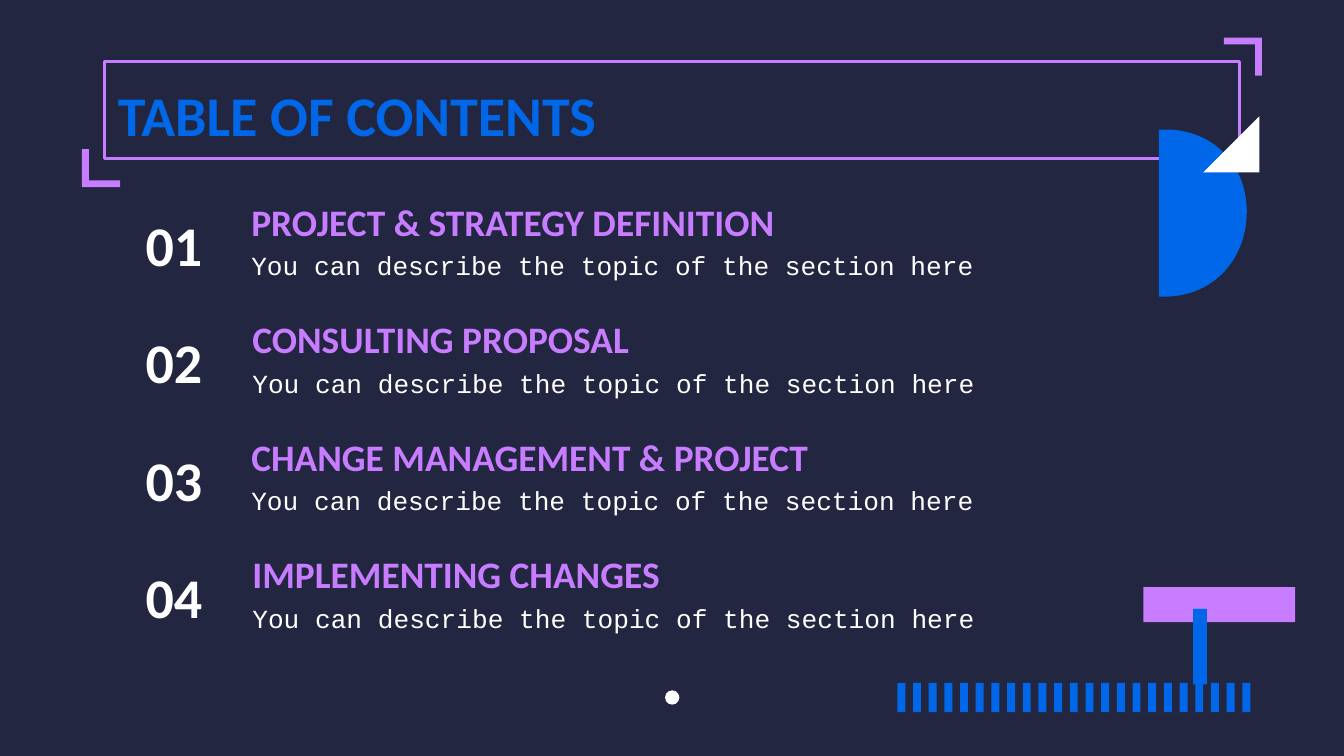
import pptx
import pptx.util
import pptx.dml.color
import pptx.enum.shapes
import pptx.enum.text

Cm = pptx.util.Cm
ALIGN = pptx.enum.text.PP_ALIGN
ANCHOR = pptx.enum.text.MSO_ANCHOR
SHAPE = pptx.enum.shapes.MSO_SHAPE
NAVY, BLUE, PURPLE, WHITE = "222640", "0068E8", "C87CFF", "FFFFFF"
TOPICS = [
    "PROJECT & STRATEGY DEFINITION",
    "CONSULTING PROPOSAL",
    "CHANGE MANAGEMENT & PROJECT",
    "IMPLEMENTING CHANGES",
]
DESCRIPTION = "You can describe the topic of the section here"


def rgb(value):
    """Return the colour for a hex string."""
    return pptx.dml.color.RGBColor.from_string(value)


def place(sp, x, y, w, h):
    """Set the position and size of a shape in centimetres."""
    sp.left, sp.top, sp.width, sp.height = Cm(x), Cm(y), Cm(w), Cm(h)


def write(sp, text, size=14, font="Calibri", color=WHITE, bold=True,
          align=ALIGN.LEFT, anchor=ANCHOR.TOP):
    """Fill a shape with one formatted paragraph."""
    tf = sp.text_frame
    tf.word_wrap = True
    tf.auto_size = pptx.enum.text.MSO_AUTO_SIZE.NONE
    tf.vertical_anchor = anchor
    tf.margin_left = tf.margin_right = tf.margin_top = tf.margin_bottom = Cm(0.25)
    p = tf.paragraphs[0]
    p.alignment = align
    r = p.add_run()
    r.text = text
    r.font.size = pptx.util.Pt(size)
    r.font.name = font
    r.font.bold = bold
    r.font.color.rgb = rgb(color)


def add_text(s, x, y, w, h, text, **style):
    """Add a text box."""
    sp = s.shapes.add_textbox(Cm(x), Cm(y), Cm(w), Cm(h))
    write(sp, text, **style)


def paint(sp, color):
    """Give a shape a flat fill without line or shadow."""
    sp.shadow.inherit = False
    sp.fill.solid()
    sp.fill.fore_color.rgb = rgb(color)
    sp.line.fill.background()


def add_solid(s, kind, x, y, w, h, color):
    """Add a flat preset shape."""
    paint(s.shapes.add_shape(kind, Cm(x), Cm(y), Cm(w), Cm(h)), color)


def add_outline(s, contours, color):
    """Add one flat freeform made of closed contours in centimetres."""
    contours = [[(Cm(x), Cm(y)) for x, y in points] for points in contours]
    builder = s.shapes.build_freeform(*contours[0][0], scale=1.0)
    for i, points in enumerate(contours):
        if i:
            builder.move_to(*points[0])
        builder.add_line_segments(points[1:], close=True)
    paint(builder.convert_to_shape(), color)


def add_corner(s, x, y, direction):
    """Add an L bracket whose outer corner is at x, y."""
    arm, thick = 0.72 * direction, 0.13 * direction
    points = [(0, 0), (arm, 0), (arm, -thick), (thick, -thick), (thick, -arm), (0, -arm)]
    add_outline(s, [[(x + dx, y + dy) for dx, dy in points]], PURPLE)


def curve(a, b, c, d, steps=40):
    """Return points along a cubic curve."""
    ts = [i / steps for i in range(steps + 1)]
    return [tuple((1 - t) ** 3 * p + 3 * t * (1 - t) ** 2 * q + 3 * t * t * (1 - t) * u + t ** 3 * v
                  for p, q, u, v in zip(a, b, c, d)) for t in ts]


def add_stripes(s, left, last, count, top, w, h):
    """Add a row of evenly spaced vertical bars."""
    step = (last - left) / (count - 1)
    xs = [left + i * step for i in range(count)]
    add_outline(s, [[(x, top), (x, top + h), (x + w, top + h), (x + w, top)] for x in xs], BLUE)


def add_topic(s, i, topic):
    """Add the number, heading and description of one topic."""
    x, y = 4.5 + 0.02 * (i % 2), 3.51 + 2.22 * i
    add_text(s, x, y, 17.58, 1.27, topic, size=20, color=PURPLE)
    add_text(s, x, y + 0.96, 17.55, 1.14, DESCRIPTION, font="Courier New", bold=False)
    add_text(s, 1.98, y + 0.53, 2.62, 1.14, f"{i + 1:02}", size=30,
             align=ALIGN.CENTER, anchor=ANCHOR.MIDDLE)


def add_title(s, text):
    """Add the framed title with its corner brackets."""
    frame = s.shapes.add_shape(SHAPE.RECTANGLE, Cm(1.98), Cm(1.17), Cm(21.44), Cm(1.83))
    frame.shadow.inherit = False
    frame.fill.background()
    frame.line.color.rgb = rgb(PURPLE)
    frame.line.width = pptx.util.Pt(1.5)
    add_corner(s, 1.55, 3.54, 1)
    add_corner(s, 23.85, 0.71, -1)
    place(s.shapes.title, 1.98, 1.27, 21.44, 1.6)
    write(s.shapes.title, text, size=30, color=BLUE)


def main():
    """Build the table of contents slide."""
    prs = pptx.Presentation()
    prs.slide_width, prs.slide_height = Cm(25.4), Cm(14.29)
    s = prs.slides.add_slide(prs.slide_layouts[5])
    s.background.fill.solid()
    s.background.fill.fore_color.rgb = rgb(NAVY)

    add_stripes(s, 16.96, 23.48, 23, 12.91, 0.15, 0.55)
    add_solid(s, SHAPE.OVAL, 12.57, 13.05, 0.27, 0.27, WHITE)
    add_solid(s, SHAPE.RECTANGLE, 21.61, 11.1, 2.87, 0.66, PURPLE)
    add_solid(s, SHAPE.RECTANGLE, 22.55, 11.51, 0.26, 1.43, BLUE)
    add_title(s, "TABLE OF CONTENTS")
    for i, topic in enumerate(TOPICS):
        add_topic(s, i, topic)
    arc = curve((21.98, 5.61), (24, 5.61), (24.13, 2.59), (22.12, 2.45))
    add_outline(s, [[(21.9, 2.45), (21.9, 5.61)] + arc], BLUE)
    add_outline(s, [[(23.8, 2.2), (22.74, 3.26), (23.8, 3.26)]], WHITE)
    prs.save("out.pptx")


if __name__ == "__main__":
    main()
